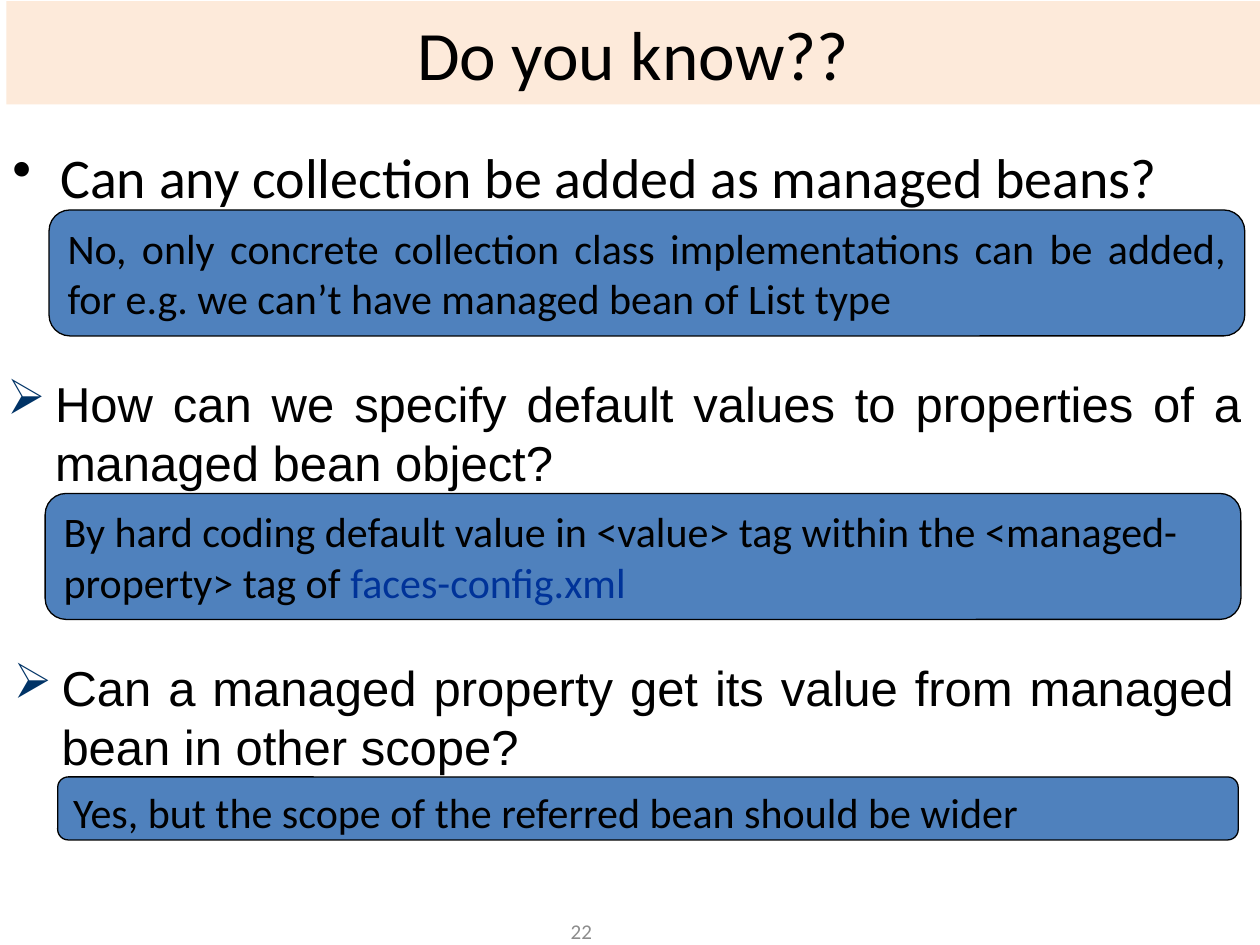
import pptx
import pptx.util
import pptx.oxml
import pptx.oxml.ns
import pptx.dml.color
import pptx.enum.shapes
import pptx.enum.text

Pt = pptx.util.Pt
ALIGN = pptx.enum.text.PP_ALIGN
ANCHOR = pptx.enum.text.MSO_ANCHOR

COLORS = {"banner": "FDEADA", "answer": "4F81BD", "text": "000000",
          "arrow": "003366", "file": "003399", "number": "8C8C8C"}
HANGING = 27.36

# Content: boxes are left, top, width, height in points
TITLE = "Do you know??"
PAGE_NUMBER = "22"
PAIRS = [
    {"question": "Can any collection be added as managed beans?",
     "question_box": (0, 77.8, 719.3, 156), "font": "Calibri", "size": 32,
     "bullet": "•", "bullet_color": "text",
     "answer": [("No, only concrete collection class implementations can be added, "
                 "for e.g. we can’t have managed bean of List type", "text")],
     "answer_box": (28, 120, 683.3, 72), "align": ALIGN.JUSTIFY},
    {"question": "How can we specify default values to properties of a managed bean object?",
     "question_box": (-3, 210, 719.3, 156), "font": "Arial", "size": 28,
     "bullet": "➢", "bullet_color": "arrow",
     "answer": [("By hard coding default value in <value> tag within the "
                 "<managed-property> tag of ", "text"),
                ("faces-config.xml", "file")],
     "answer_box": (25.8, 282, 683.3, 72), "align": ALIGN.LEFT},
    {"question": "Can a managed property get its value from managed bean in other scope?",
     "question_box": (0.7, 372, 711.4, 126), "font": "Arial", "size": 28,
     "bullet": "➢", "bullet_color": "arrow",
     "answer": [("Yes, but the scope of the referred bean should be wider", "text")],
     "answer_box": (33, 444, 674.6, 36), "align": ALIGN.LEFT},
]


def rgb(name):
    return pptx.dml.color.RGBColor.from_string(COLORS[name])


def style(font, name, size, color):
    font.name = name
    font.size = Pt(size)
    font.color.rgb = rgb(color)


def add_text_box(slide, box, text, anchor):
    shape = slide.shapes.add_textbox(*map(Pt, box))
    shape.text_frame.word_wrap = True
    shape.text_frame.vertical_anchor = anchor
    paragraph = shape.text_frame.paragraphs[0]
    paragraph.text = text
    return paragraph


def add_bullet(paragraph, character, color):
    properties = paragraph._p.get_or_add_pPr()
    properties.set("marL", str(Pt(HANGING)))
    properties.set("indent", str(-Pt(HANGING)))
    namespace = pptx.oxml.ns.nsdecls("a")
    for xml in (f'<a:buClr {namespace}><a:srgbClr val="{COLORS[color]}"/></a:buClr>',
                f'<a:buChar {namespace} char="{character}"/>'):
        properties.append(pptx.oxml.parse_xml(xml))


def add_question(slide, pair):
    paragraph = add_text_box(slide, pair["question_box"], pair["question"], ANCHOR.TOP)
    add_bullet(paragraph, pair["bullet"], pair["bullet_color"])
    paragraph.alignment = ALIGN.JUSTIFY
    style(paragraph.font, pair["font"], pair["size"], "text")


def add_answer(slide, pair):
    shape = slide.shapes.add_shape(
        pptx.enum.shapes.MSO_SHAPE.ROUNDED_RECTANGLE, *map(Pt, pair["answer_box"]))
    shape.shadow.inherit = False
    shape.fill.solid()
    shape.fill.fore_color.rgb = rgb("answer")
    shape.line.color.rgb = rgb("text")
    shape.line.width = Pt(0.75)
    shape.text_frame.word_wrap = True
    shape.text_frame.vertical_anchor = ANCHOR.TOP
    paragraph = shape.text_frame.paragraphs[0]
    paragraph.alignment = pair["align"]
    for text, color in pair["answer"]:
        run = paragraph.add_run()
        run.text = text
        style(run.font, "Calibri", 24, color)


def main():
    presentation = pptx.Presentation()
    presentation.slide_width = Pt(720)
    presentation.slide_height = Pt(540)
    slide = presentation.slides.add_slide(presentation.slide_layouts[5])

    # Title banner
    title = slide.shapes.title
    title.left, title.top, title.width, title.height = map(Pt, (3.6, 0.7, 716.4, 59))
    title.fill.solid()
    title.fill.fore_color.rgb = rgb("banner")
    title.text_frame.text = TITLE
    title.text_frame.auto_size = pptx.enum.text.MSO_AUTO_SIZE.NONE
    title.text_frame.vertical_anchor = ANCHOR.MIDDLE
    heading = title.text_frame.paragraphs[0]
    heading.alignment = ALIGN.CENTER
    style(heading.font, "Calibri", 39.6, "text")

    # Page number
    number = add_text_box(slide, (319, 513.4, 61.2, 37.4), PAGE_NUMBER, ANCHOR.MIDDLE)
    style(number.font, "Calibri", 12, "number")

    # Questions with their answers
    for pair in PAIRS:
        add_question(slide, pair)
        add_answer(slide, pair)

    presentation.save("out.pptx")


if __name__ == "__main__":
    main()
